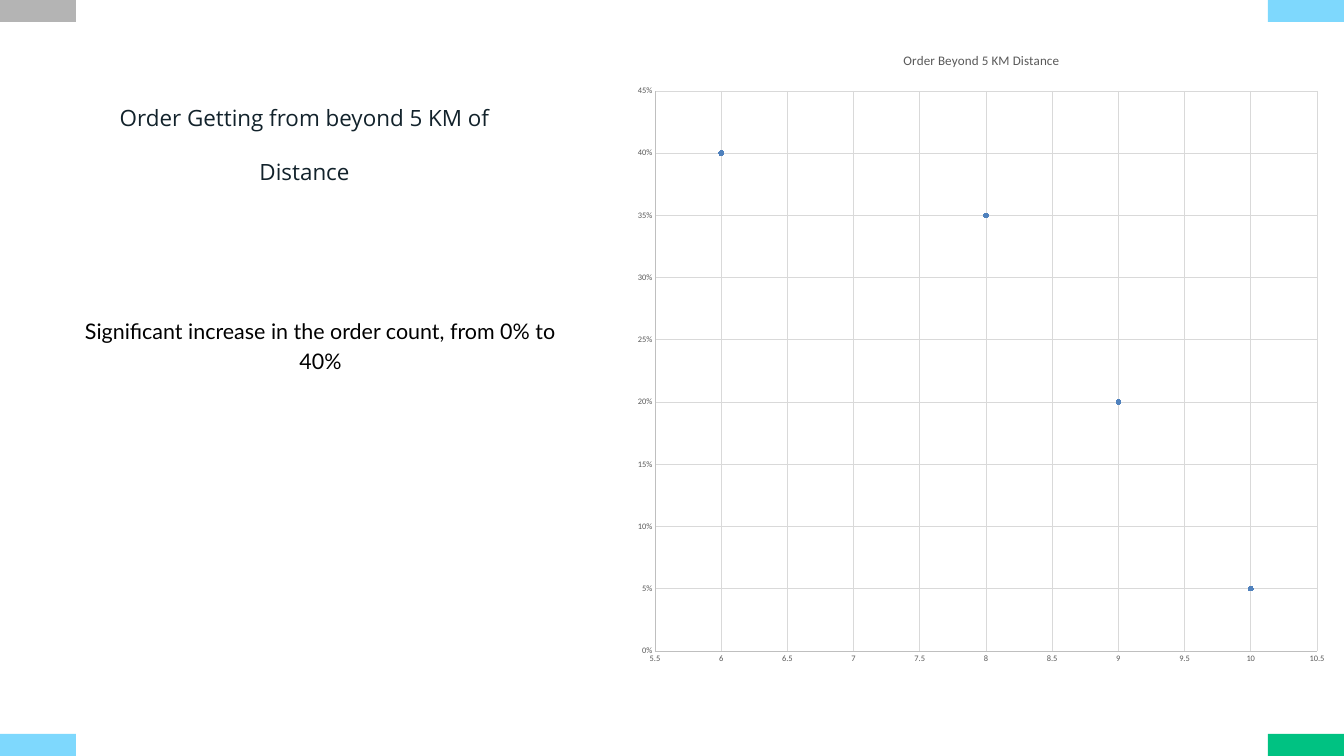
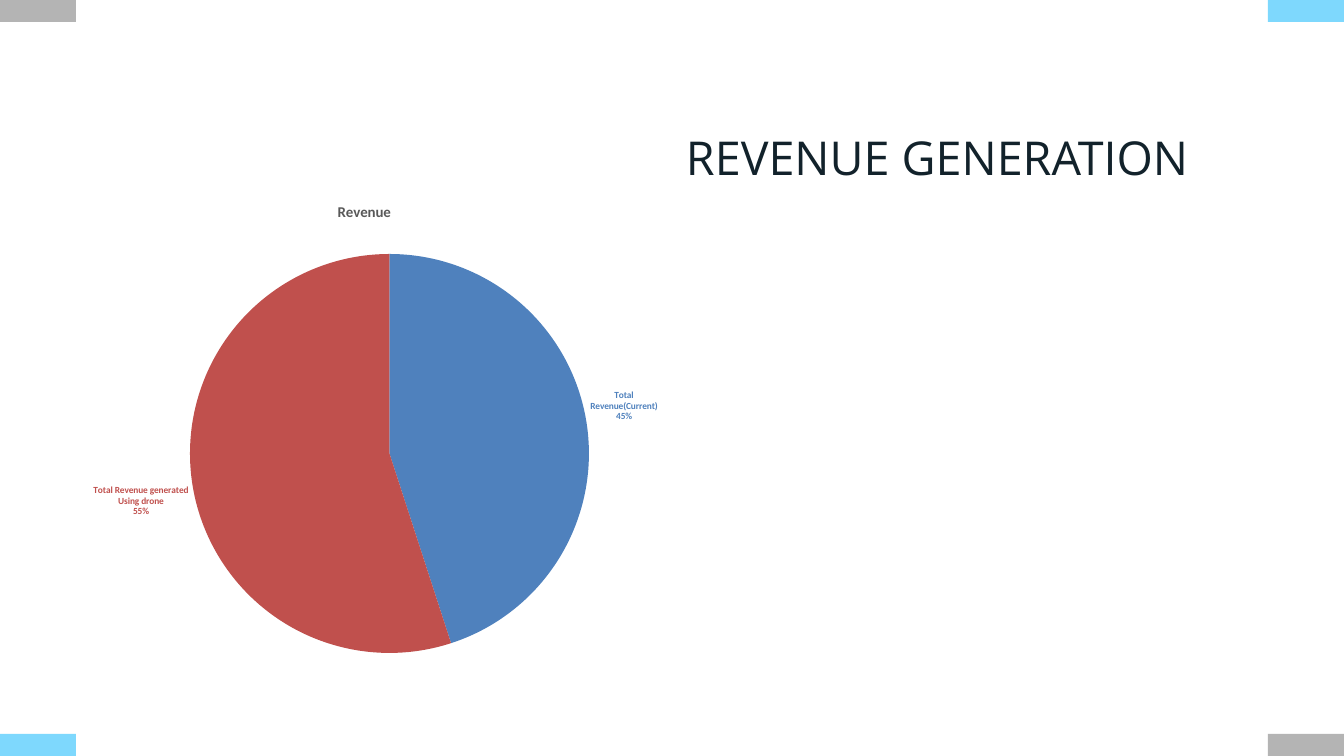
from dataclasses import dataclass
from lxml import etree
from pptx import Presentation
from pptx.chart.data import CategoryChartData, XyChartData
from pptx.dml.color import RGBColor
from pptx.enum.chart import XL_CHART_TYPE as CT, XL_LABEL_POSITION as LP
from pptx.enum.chart import XL_MARKER_STYLE as MS, XL_TICK_MARK as TM
from pptx.enum.shapes import MSO_SHAPE
from pptx.enum.text import MSO_AUTO_SIZE, PP_ALIGN
from pptx.oxml.ns import qn
from pptx.util import Pt

PX = 914400 / 67.2
WIDTH, HEIGHT = 1344, 756
TAB_W, TAB_H = 76, 22


@dataclass(frozen=True)
class Theme:
    sky: str = "7ED8FD"
    green: str = "00C282"
    grey: str = "B4B4B4"
    ink: str = "12222B"
    black: str = "000000"
    chart_text: str = "595959"
    axis: str = "BFBFBF"
    grid: str = "D9D9D9"
    blue: str = "4F81BD"
    red: str = "C0504D"
    head_font: str = "Open Sans"
    body_font: str = "Lato"
    chart_font: str = "Calibri"
    title: int = 50
    subtitle: int = 24
    body: int = 23
    pie_title: int = 16
    scatter_title: int = 14
    pie_label: int = 10
    axis_label: int = 9
    title_leading: int = 58
    body_leading: float = 32.2


T = Theme()


def emu(*lengths):
    return [round(n * PX) for n in lengths]


def rgb(color):
    return RGBColor.from_string(color)


def style_font(font, size, color, name=T.chart_font, bold=False):
    font.size, font.name, font.bold = Pt(size), name, bold
    font.color.rgb = rgb(color)


def add_text(slide, box, text, *, size, color=T.ink, font=T.head_font,
             leading=T.title_leading, align=PP_ALIGN.CENTER):
    tf = slide.shapes.add_textbox(*emu(*box)).text_frame
    tf.margin_left = tf.margin_top = tf.margin_right = tf.margin_bottom = 0
    tf.word_wrap = True
    tf.auto_size = MSO_AUTO_SIZE.SHAPE_TO_FIT_TEXT
    p = tf.paragraphs[0]
    p.alignment, p.line_spacing = align, Pt(leading)
    r = p.add_run()
    r.text = text
    style_font(r.font, size, color, font)


def add_corners(slide, last_color):
    right, bottom = WIDTH - TAB_W, HEIGHT - TAB_H
    corners = [(0, 0, T.grey), (right, 0, T.sky),
               (0, bottom, T.sky), (right, bottom, last_color)]
    for x, y, color in corners:
        sp = slide.shapes.add_shape(MSO_SHAPE.RECTANGLE, *emu(x, y, TAB_W, TAB_H))
        sp.shadow.inherit = False
        sp.fill.solid()
        sp.fill.fore_color.rgb = rgb(color)
        sp.line.fill.background()


def set_layout(parent, index, **values):
    for old in parent.findall(qn("c:layout")):
        parent.remove(old)
    layout = etree.Element(qn("c:layout"))
    manual = etree.SubElement(layout, qn("c:manualLayout"))
    if "w" in values:
        etree.SubElement(manual, qn("c:layoutTarget"), val="inner")
    for key in "xy":
        etree.SubElement(manual, qn(f"c:{key}Mode"), val="edge")
    for key, value in values.items():
        etree.SubElement(manual, qn(f"c:{key}"), val=f"{value:.4f}")
    parent.insert(index, layout)


def add_chart(slide, box, kind, data, title, size, bold, title_at, plot):
    _, _, w, h = box
    chart = slide.shapes.add_chart(kind, *emu(*box), data).chart
    style_font(chart.font, T.pie_label, T.black)
    chart.has_legend = False
    chart.has_title = True
    p = chart.chart_title.text_frame.paragraphs[0]
    r = p.add_run()
    r.text = title
    style_font(r.font, size, T.chart_text, bold=bold)
    root = chart.element.find(qn("c:chart"))
    set_layout(root.find(qn("c:title")), 1, x=title_at[0] / w, y=title_at[1] / h)
    set_layout(root.find(qn("c:plotArea")), 0, x=plot[0] / w, y=plot[1] / h,
               w=plot[2] / w, h=plot[3] / h)
    return chart


def drop_missing_points(chart):
    for value in list(chart.element.iter(qn("c:v"))):
        if value.text in (None, "", "None"):
            pt = value.getparent()
            pt.getparent().remove(pt)


def style_axis(axis, low, high, step, number_format):
    axis.minimum_scale, axis.maximum_scale, axis.major_unit = low, high, step
    axis.major_tick_mark = axis.minor_tick_mark = TM.NONE
    axis.tick_labels.number_format = number_format
    axis.tick_labels.number_format_is_linked = False
    style_font(axis.tick_labels.font, T.axis_label, T.chart_text)
    axis.has_major_gridlines = True
    for line, color in ((axis.format.line, T.axis),
                        (axis.major_gridlines.format.line, T.grid)):
        line.color.rgb, line.width = rgb(color), Pt(0.75)


def distance_chart(slide, box):
    data = XyChartData()
    orders = data.add_series("Series 1", number_format="0%")
    for km, share in [(6, 0.4), (8, 0.35), (7, None), (9, 0.2),
                      (8, None), (10, 0.05), (9, None)]:
        orders.add_data_point(km, share)
    chart = add_chart(slide, box, CT.XY_SCATTER, data, "Order Beyond 5 KM Distance",
                      T.scatter_title, False, (277, 15), (31, 57, 662, 560))
    drop_missing_points(chart)
    chart.plots[0].vary_by_categories = False
    style_axis(chart.category_axis, 5.5, 10.5, 0.5, "General")
    style_axis(chart.value_axis, 0, 0.45, 0.05, "0%")
    series = chart.plots[0].series[0]
    series.format.line.fill.background()
    marker = series.marker
    marker.style, marker.size = MS.CIRCLE, 5
    marker.format.fill.solid()
    marker.format.fill.fore_color.rgb = rgb(T.blue)
    marker.format.line.color.rgb = rgb(T.blue)


def revenue_chart(slide, box):
    data = CategoryChartData(number_format="0")
    data.categories = ["Total Revenue(Current)", "Total Revenue generated Using drone"]
    data.add_series("Series 1", (45, 55))
    chart = add_chart(slide, box, CT.PIE, data, "Revenue", T.pie_title, True,
                      (279, 13), (134, 68, 399, 399))
    chart.plots[0].vary_by_categories = True
    series = chart.plots[0].series[0]
    for i, color in enumerate((T.blue, T.red)):
        point = series.points[i]
        point.format.fill.solid()
        point.format.fill.fore_color.rgb = rgb(color)
        point.format.line.fill.background()
        style_font(point.data_label.font, T.pie_label, color, bold=True)
        point.data_label.position = LP.OUTSIDE_END
    labels = series.data_labels
    labels.show_value = False
    labels.show_category_name = labels.show_percentage = True
    labels.position = LP.OUTSIDE_END
    for label in chart.element.iter(qn("c:dLbl")):
        for tag, shown in (("showVal", "0"), ("showCatName", "1"), ("showPercent", "1")):
            label.find(qn(f"c:{tag}")).set("val", shown)
        etree.SubElement(label, qn("c:separator")).text = "\n"


def distance_text(slide, box):
    x, y, w, _ = box
    add_text(slide, (x, y + 237, w, 57),
             "Significant increase in the order count, from 0% to 40%",
             size=T.body, color=T.black, font=T.body_font, leading=T.body_leading)
    add_text(slide, (x + 10, y, w - 52, 101),
             "Order Getting from beyond 5 KM of Distance", size=T.subtitle)


def distance_slide(slide):
    add_corners(slide, T.green)
    distance_text(slide, (62, 77, 517, 294))
    distance_chart(slide, (624, 34, 714, 643))


def revenue_slide(slide):
    add_corners(slide, T.grey)
    add_text(slide, (686, 131, 552, 54), "REVENUE GENERATION",
             size=T.title, align=PP_ALIGN.LEFT)
    revenue_chart(slide, (56, 186, 616, 476))


def main():
    prs = Presentation()
    prs.slide_width, prs.slide_height = emu(WIDTH, HEIGHT)
    for build in (distance_slide, revenue_slide):
        build(prs.slides.add_slide(prs.slide_layouts[6]))
    prs.save("out.pptx")


if __name__ == "__main__":
    main()
